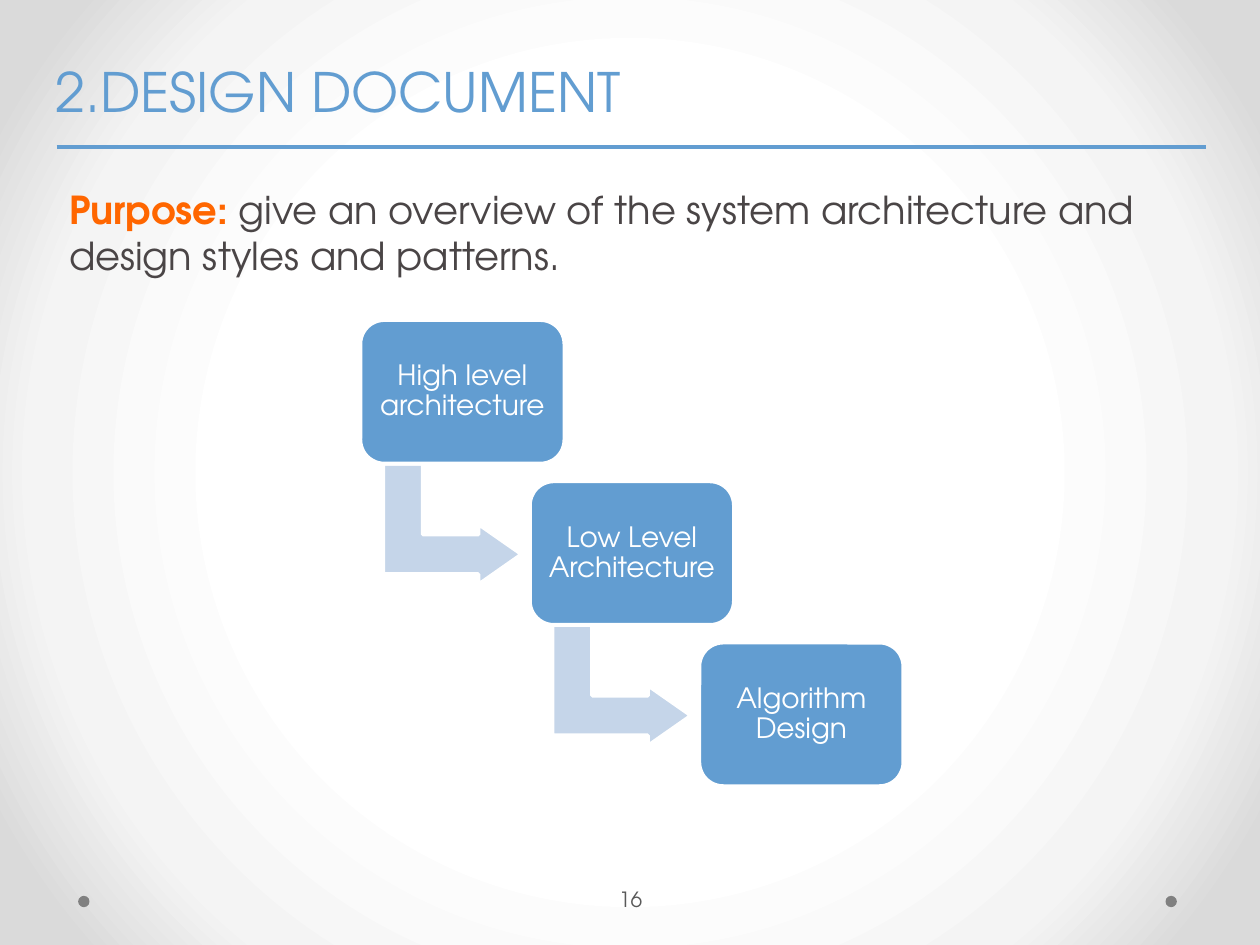
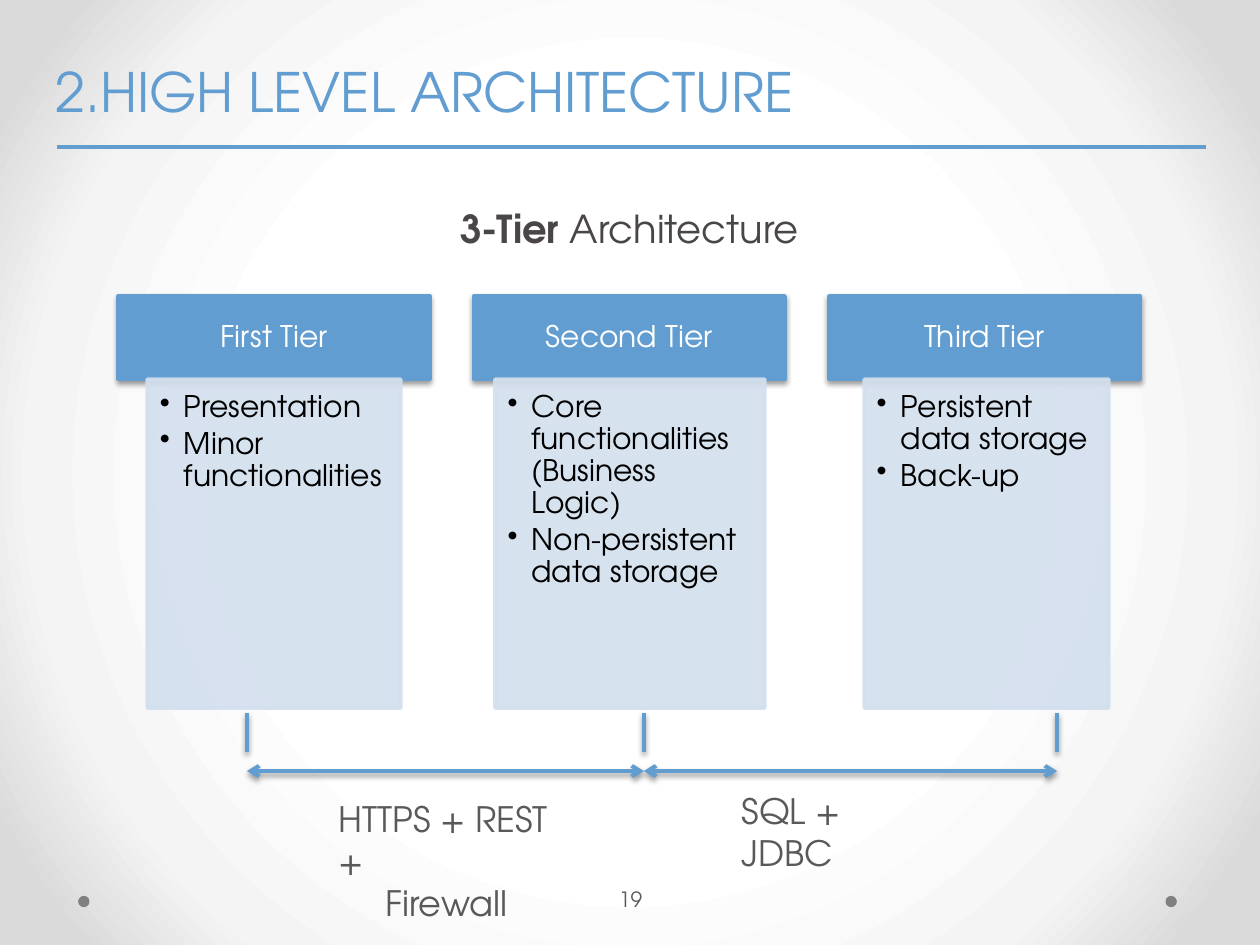
"""Builds two slides on a design document and a three-tier architecture."""
from pptx import Presentation
from pptx.dml.color import RGBColor
from pptx.enum.shapes import MSO_CONNECTOR, MSO_SHAPE
from pptx.enum.text import MSO_ANCHOR, PP_ALIGN
from pptx.oxml import parse_xml
from pptx.oxml.ns import nsdecls, qn
from pptx.util import Inches, Pt
from lxml import etree

ELLIPSE, RECTANGLE = MSO_SHAPE.OVAL, MSO_SHAPE.RECTANGLE
ROUNDED, BENT_ARROW = MSO_SHAPE.ROUNDED_RECTANGLE, MSO_SHAPE.BENT_UP_ARROW
STRAIGHT = MSO_CONNECTOR.STRAIGHT
LEFT, CENTER = PP_ALIGN.LEFT, PP_ALIGN.CENTER
TOP, MIDDLE = MSO_ANCHOR.TOP, MSO_ANCHOR.MIDDLE

FONT = "TeX Gyre Adventor"
COLORS = {
    "blue": "629DD1", "arrow": "C5D5E9", "panel": "D3DFEE", "orange": "FF6600",
    "body": "4A4546", "label": "595959", "dot": "808080", "white": "FFFFFF",
    "black": "000000",
}
BACKGROUND_STOPS = [(50, "FFFFFF"), (76, "F4F4F4"), (92, "DADADA")]

DESIGN = {
    "title": "2.DESIGN DOCUMENT",
    "number": "16",
    "intro": [("Purpose: ", "orange", True),
              ("give an overview of the system architecture and design styles and patterns.",
               "body", False)],
}
STEPS = ["High level architecture", "Low Level Architecture", "Algorithm Design"]

TIERS_PAGE = {
    "title": "2.HIGH LEVEL ARCHITECTURE",
    "number": "19",
    "intro": [("3-Tier ", "body", True), ("Architecture", "body", False)],
}
TIERS = [
    {"name": "First Tier", "left": 1.17, "width": 2.01, "tick": 1.96,
     "items": ["Presentation", "Minor functionalities"]},
    {"name": "Second Tier", "left": 3.93, "width": 2.14, "tick": 5.11,
     "items": ["Core functionalities (Business Logic)", "Non-persistent data storage"]},
    {"name": "Third Tier", "left": 6.86, "width": 1.94, "tick": 8.39,
     "items": ["Persistent data storage", "Back-up"]},
]
PROTOCOLS = [
    {"box": (2.59, 6.28, 2.05, 1.1), "lines": [("HTTPS + REST +", 0), ("Firewall", 0.37)]},
    {"box": (5.79, 6.22, 1.6, 0.77), "lines": [("SQL + JDBC", 0)]},
]


def color(name):
    return RGBColor.from_string(COLORS[name])


def add_effects(element, shadow):
    properties = element.spPr
    effects = properties.find(qn("a:effectLst"))
    if effects is None:
        effects = etree.SubElement(properties, qn("a:effectLst"))
    if shadow:
        outer = etree.SubElement(effects, qn("a:outerShdw"), blurRad="39400", dist="20300",
                                 dir="5400000", rotWithShape="0")
        tint = etree.SubElement(outer, qn("a:srgbClr"), val=COLORS["black"])
        etree.SubElement(tint, qn("a:alpha"), val="38000")


def add_block(slide, kind, box, fill, line=None, opacity=100, shadow=False):
    shape = slide.shapes.add_shape(kind, *map(Inches, box))
    shape.fill.solid()
    shape.fill.fore_color.rgb = color(fill)
    if line:
        shape.line.color.rgb = color(line)
        shape.line.width = Pt(2.25)
    else:
        shape.line.fill.background()
    if opacity < 100:
        for tint in shape._element.spPr.iter(qn("a:srgbClr")):
            etree.SubElement(tint, qn("a:alpha"), val=str(opacity * 1000))
    shape.shadow.inherit = False
    add_effects(shape._element, shadow)
    return shape


def add_line(slide, start, end, shadow=False, arrows=False):
    connector = slide.shapes.add_connector(STRAIGHT, *map(Inches, start + end))
    connector.line.color.rgb = color("blue")
    connector.line.width = Pt(2.25)
    if arrows:
        for tag in ("a:headEnd", "a:tailEnd"):
            etree.SubElement(connector.line._get_or_add_ln(), qn(tag), type="arrow")
    add_effects(connector._element, shadow)


def add_paragraph(frame, runs, size, align=LEFT, spacing=None, after=0, indent=0, bullet=False):
    paragraph = frame.paragraphs[0]
    if paragraph.runs:
        paragraph = frame.add_paragraph()
    paragraph.alignment = align
    paragraph.space_after = Pt(after)
    if spacing:
        paragraph.line_spacing = spacing
    properties = paragraph._p.get_or_add_pPr()
    properties.set("marL", str(Inches(indent)))
    if bullet:
        properties.set("indent", str(-Inches(indent)))
        etree.SubElement(properties, qn("a:buChar"), char="•")
    for text, tint, bold in runs:
        run = paragraph.add_run()
        run.text = text
        run.font.name = FONT
        run.font.size = Pt(size)
        run.font.bold = bold
        run.font.color.rgb = color(tint)


def prepare_frame(shape, anchor=TOP, insets=(0.1, 0.05, 0.1, 0.05)):
    frame = shape.text_frame
    frame.word_wrap = True
    frame.vertical_anchor = anchor
    frame.margin_left, frame.margin_top, frame.margin_right, frame.margin_bottom = map(Inches, insets)
    return frame


def add_text_frame(slide, box, **options):
    return prepare_frame(slide.shapes.add_textbox(*map(Inches, box)), **options)


def set_background(slide):
    stops = "".join(f'<a:gs pos="{position * 1000}"><a:srgbClr val="{tint}"/></a:gs>'
                    for position, tint in BACKGROUND_STOPS)
    slide._element.cSld.insert(0, parse_xml(
        f'<p:bg {nsdecls("p", "a")}><p:bgPr><a:gradFill rotWithShape="1">'
        f'<a:gsLst>{stops}</a:gsLst><a:path path="circle">'
        '<a:fillToRect l="50000" t="50000" r="50000" b="50000"/></a:path>'
        '</a:gradFill><a:effectLst/></p:bgPr></p:bg>'))


def add_page(presentation, page, intro_box, intro_align):
    slide = presentation.slides.add_slide(presentation.slide_layouts[6])
    set_background(slide)
    for left in (9.25, 0.62):
        add_block(slide, ELLIPSE, (left, 7.11, 0.09, 0.09), "dot")
    add_line(slide, (0.45, 1.17), (9.57, 1.17))
    title = add_text_frame(slide, (0.34, 0.41, 8.21, 0.62))
    add_paragraph(title, [(page["title"], "blue", False)], 31)
    intro = add_text_frame(slide, intro_box)
    add_paragraph(intro, page["intro"], 22, intro_align)
    number = add_text_frame(slide, (4.71, 6.94, 0.61, 0.4), anchor=MIDDLE,
                            insets=(0.03, 0.05, 0.05, 0.05))
    add_paragraph(number, [(page["number"], "label", False)], 12, CENTER)
    return slide


def build_design(presentation):
    slide = add_page(presentation, DESIGN, (0.45, 1.43, 9.09, 0.84), LEFT)
    for index, step in enumerate(STEPS):
        across, down = 1.345 * index, 1.28 * index
        if index < len(STEPS) - 1:
            arrow = add_block(slide, BENT_ARROW, (3.11 + across, 3.61 + down, 0.96, 1.1),
                              "arrow", "white")
            arrow.rotation = 90
            for position, value in enumerate((0.328, 0.25, 0.358)):
                arrow.adjustments[position] = value
        box = add_block(slide, ROUNDED, (2.86 + across, 2.54 + down, 1.62, 1.14), "blue", "white")
        frame = prepare_frame(box, MIDDLE, (0.07,) * 4)
        add_paragraph(frame, [(step, "white", False)], 16, CENTER, 0.9)


def build_tiers(presentation):
    slide = add_page(presentation, TIERS_PAGE, (0.45, 1.58, 9.09, 0.47), CENTER)
    for index, tier in enumerate(TIERS):
        header = add_block(slide, RECTANGLE, (0.94 + 2.82 * index, 2.35, 2.47, 0.66),
                           "blue", "blue", shadow=True)
        frame = prepare_frame(header, MIDDLE, (0.13, 0.08, 0.13, 0.08))
        add_paragraph(frame, [(tier["name"], "white", False)], 17, CENTER, 0.9)
        panel = add_block(slide, RECTANGLE, (tier["left"], 3.01, tier["width"], 2.61),
                          "panel", "panel", opacity=90)
        frame = prepare_frame(panel, TOP, (0.1, 0.1, 0.13, 0.15))
        for item in tier["items"]:
            add_paragraph(frame, [(item, "black", False)], 17, spacing=0.9, after=2.5,
                          indent=0.19, bullet=True)
    ticks = [tier["tick"] for tier in TIERS]
    for tick in ticks:
        add_line(slide, (tick, 5.66), (tick, 5.97), shadow=True)
    for start, end in zip(ticks, ticks[1:]):
        add_line(slide, (start, 6.12), (end, 6.12), shadow=True, arrows=True)
    for protocol in PROTOCOLS:
        frame = add_text_frame(slide, protocol["box"])
        for text, indent in protocol["lines"]:
            add_paragraph(frame, [(text, "label", False)], 20, indent=indent)


def main():
    presentation = Presentation()
    presentation.slide_width, presentation.slide_height = Inches(10), Inches(7.5)
    build_design(presentation)
    build_tiers(presentation)
    presentation.save("out.pptx")


if __name__ == "__main__":
    main()
